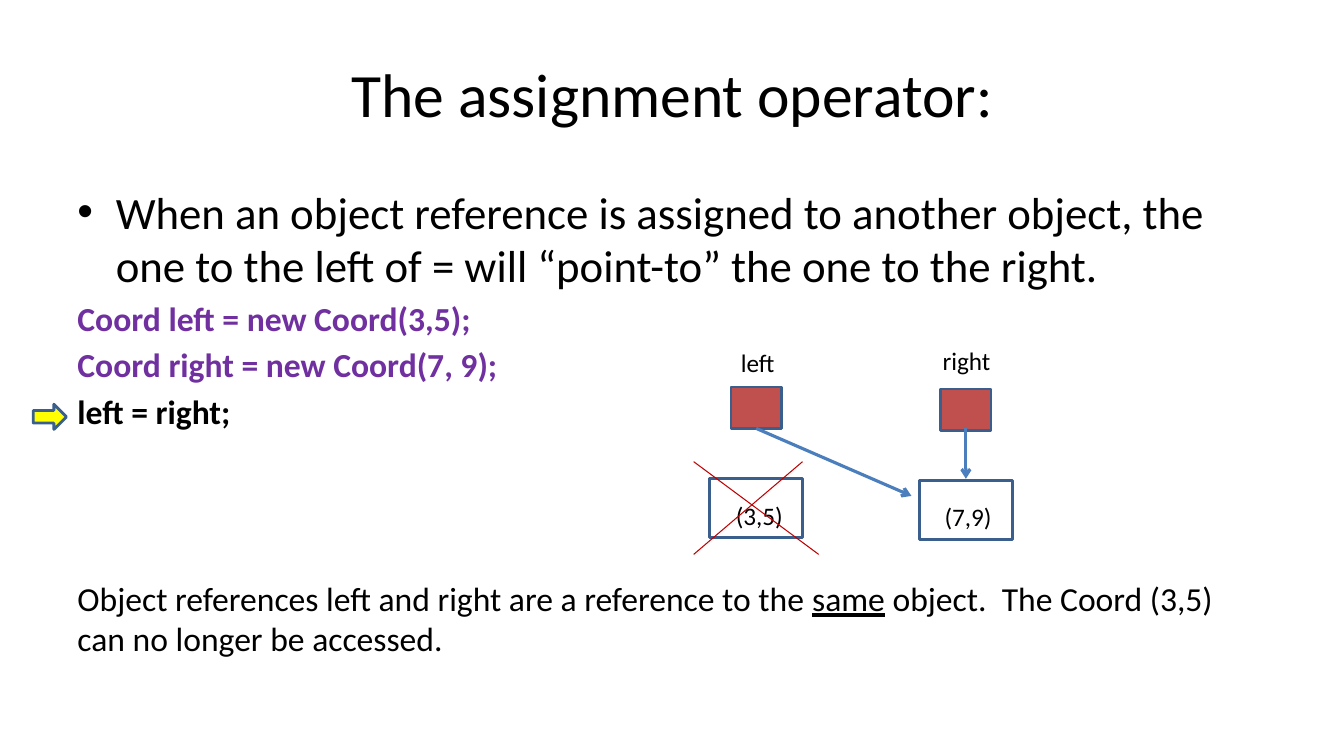
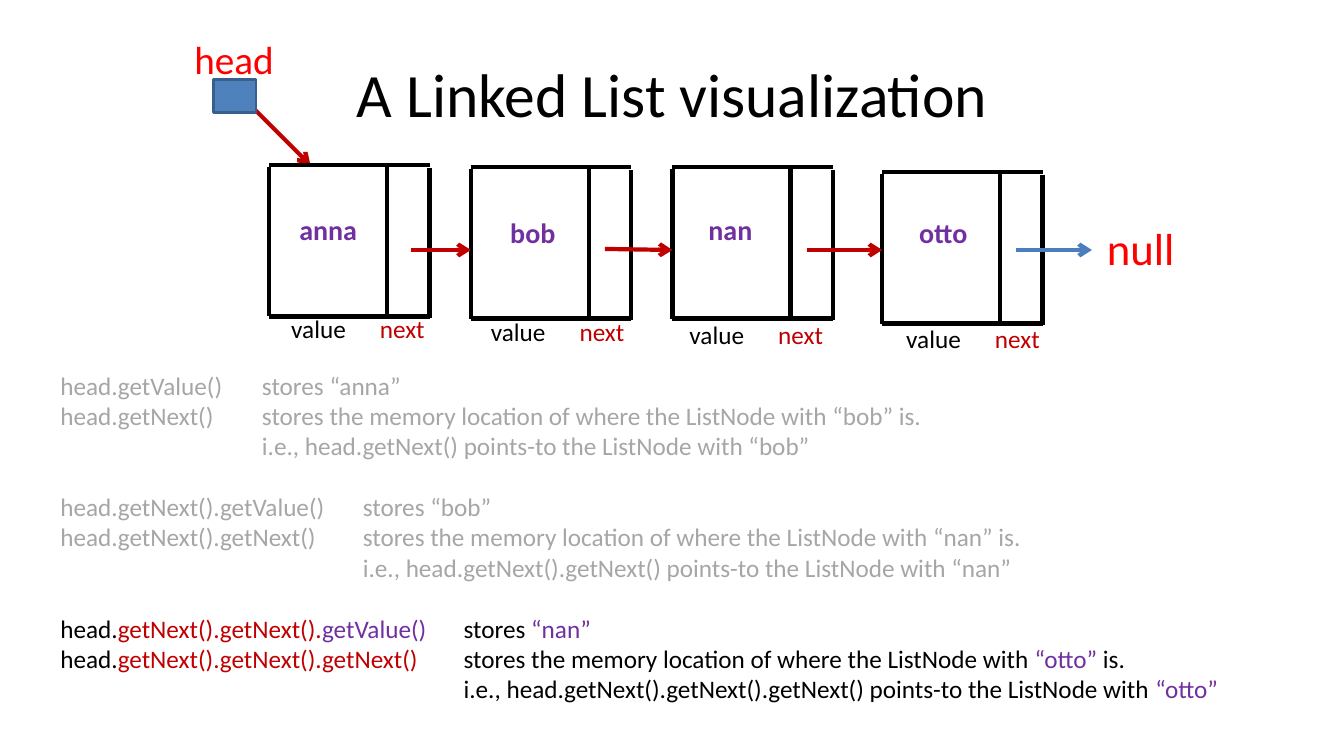
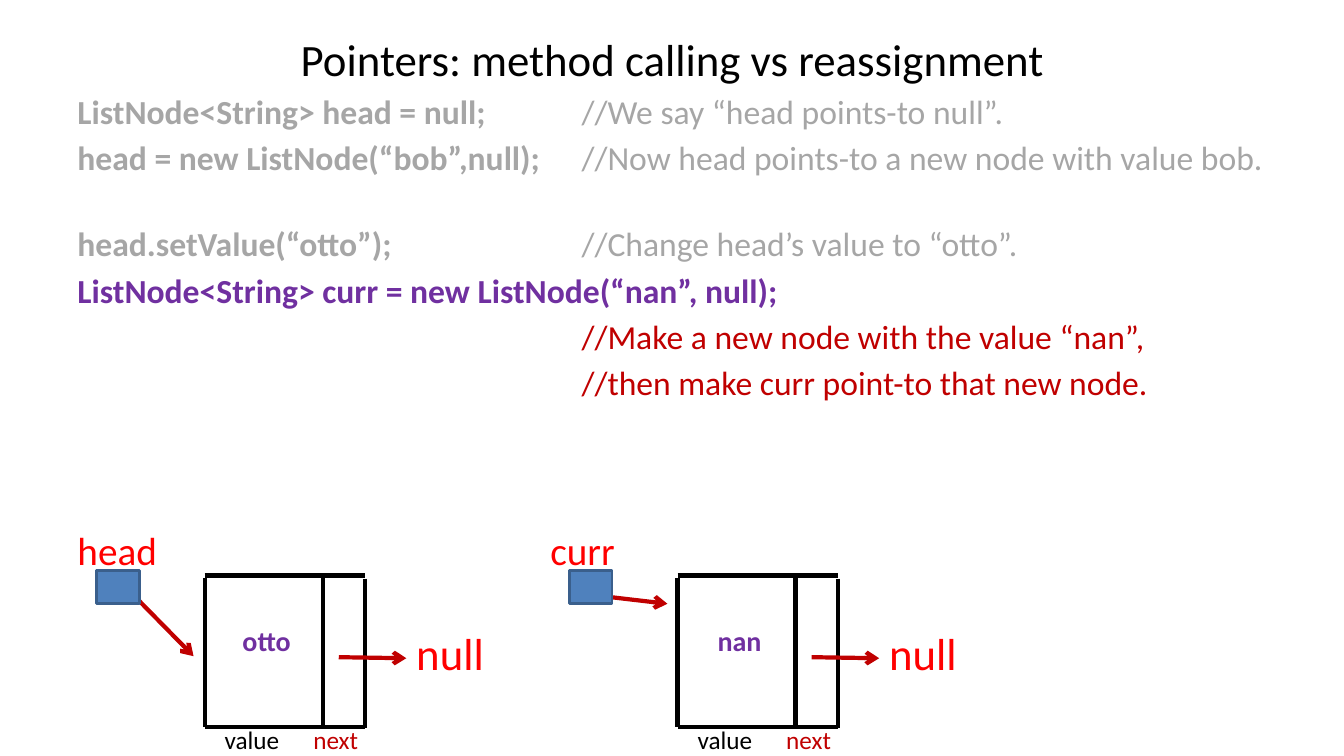
from lxml.etree import SubElement
from pptx import Presentation
from pptx.dml.color import RGBColor
from pptx.enum.shapes import MSO_CONNECTOR, MSO_SHAPE
from pptx.enum.text import MSO_ANCHOR, PP_ALIGN
from pptx.oxml.ns import qn
from pptx.util import Inches, Pt

FONT = "Calibri"
COLORS = {
    "black": "000000", "purple": "7030A0", "dark_red": "C00000", "red": "FF0000",
    "gray": "A6A6A6", "yellow": "FFFF00", "brick": "C0504D", "blue": "4F81BD",
    "outline": "3A5F8C", "arrow": "4B7EBC",
}
TITLE_BOX = (0.67, 0.3, 12, 1.25)
CODE_GAP = 4.3  # points before a code line

# Each paragraph: runs as (text, colour, style letters), then its format
ASSIGNMENT = [
    ([("When an object reference is assigned to another object, the one to the left "
       "of = will “point-to” the one to the right.", "black", "")],
     dict(size=32, bullet=True)),
    ([("Coord left = new Coord(3,5);", "purple", "b")], dict(before=CODE_GAP)),
    ([("Coord right = new Coord(7, 9);", "purple", "b")], dict(before=CODE_GAP)),
    ([("left = right;", "black", "b")], dict(before=CODE_GAP)),
    ([("Object references left and right are a reference to the ", "black", ""),
      ("same", "black", "u"),
      (" object.  The Coord (3,5) can no longer be accessed.", "black", "")],
     dict(before=105)),
]
# name, label spot, pointer spot, object value, object spot, value spot
REFERENCES = [
    ("left", (7.25, 3.4), (7.25, 3.84), "(3,5)", (7.04, 4.75), (7.2, 4.91)),
    ("right", (9.25, 3.38), (9.33, 3.86), "(7,9)", (9.12, 4.77), (9.27, 4.92)),
]
REFERENCE_ARROWS = [((7.5, 4.25), (9.04, 4.92)), ((9.58, 4.25), (9.58, 4.75))]
CROSS_OUT = [((6.88, 4.58), (8.12, 5.5)), ((7.96, 4.58), (6.88, 5.5))]

# name, node corner, name offset, caption offset
LIST_NODES = [
    ("anna", (2.67, 1.64), (0, 0.42), (0.12, 1.42)),
    ("bob", (4.67, 1.66), (0.03, 0.43), (0.1, 1.43)),
    ("nan", (6.67, 1.66), (-0.01, 0.4), (0.07, 1.46)),
    ("otto", (8.75, 1.71), (0.02, 0.38), (0.14, 1.45)),
]
NEXT_ARROWS = [
    ((4.08, 2.48), (4.67, 2.48), "dark_red"),
    ((6, 2.47), (6.67, 2.48), "dark_red"),
    ((8, 2.48), (8.75, 2.48), "dark_red"),
    ((10.08, 2.48), (10.83, 2.48), "arrow"),
]
# Each group of calls: tab stop, then its lines
CALL_GROUPS = [
    (2, [
        [("head.getValue()\tstores “anna”", "gray", "")],
        [("head.getNext()\tstores the memory location of where the ListNode with "
          "“bob” is.", "gray", "")],
        [("\ti.e., head.getNext() points-to the ListNode with “bob”", "gray", "")],
    ]),
    (3, [
        [("head.getNext().getValue()\tstores “bob”", "gray", "")],
        [("head.getNext().getNext()\tstores the memory location of where the ListNode "
          "with “nan” is.", "gray", "")],
        [("\ti.e., head.getNext().getNext() points-to the ListNode with “nan”",
          "gray", "")],
    ]),
    (4, [
        [("head.", "black", ""), ("getNext().getNext().", "dark_red", ""),
         ("getValue()", "purple", ""), ("\tstores ", "black", ""),
         ("“nan”", "purple", "")],
        [("head.", "black", ""), ("getNext().getNext().getNext()", "dark_red", ""),
         ("\tstores the memory location of where the ListNode with ", "black", ""),
         ("“otto” ", "purple", ""), ("is.", "black", "")],
        [("\ti.e., head.getNext().getNext().getNext() points-to the ListNode with ",
          "black", ""), ("“otto”", "purple", "")],
    ]),
]

# code, comment, code colour, comment colour, points before
POINTER_CODE = [
    ("ListNode<String> head = null;", "//We say “head points-to null”.",
     "gray", "gray", 0),
    ("head = new ListNode(“bob”,null);",
     "//Now head points-to a new node with value bob.", "gray", "gray", CODE_GAP),
    ("head.setValue(“otto”);", "//Change head’s value to “otto”.",
     "gray", "gray", 32.8),
    ("ListNode<String> curr = new ListNode(“nan”, null);", "",
     "purple", "purple", CODE_GAP),
    ("", "//Make a new node with the value “nan”,", "purple", "dark_red", CODE_GAP),
    ("", "//then make curr point-to that new node.", "purple", "dark_red", CODE_GAP),
]
# variable, node value, left edge, arrow from the variable
POINTERS = [
    ("head", "otto", 0.67, ((1.34, 5.92), (1.92, 6.51))),
    ("curr", "nan", 5.36, ((6.02, 5.92), (6.62, 5.99))),
]


def rgb(color):
    return RGBColor.from_string(COLORS[color])


def style_font(font, size, color, style=""):
    font.name = FONT
    font.size = Pt(size)
    font.color.rgb = rgb(color)
    font.bold = "b" in style
    font.underline = "u" in style


def fill_paragraph(paragraph, runs, size=24, before=0, align=PP_ALIGN.LEFT,
                   tab=None, bullet=False):
    paragraph.alignment = align
    paragraph.space_before = Pt(before)
    properties = paragraph._p.get_or_add_pPr()
    if bullet:
        properties.set("marL", str(Inches(0.38)))
        properties.set("indent", str(-Inches(0.38)))
        SubElement(properties, qn("a:buFont")).set("typeface", "Arial")
        SubElement(properties, qn("a:buChar")).set("char", "•")
    if tab:
        stops = SubElement(properties, qn("a:tabLst"))
        SubElement(stops, qn("a:tab"), pos=str(Inches(tab)), algn="l")
    uniform = len({run[1:] for run in runs}) == 1
    if uniform:
        style_font(paragraph.font, size, *runs[0][1:])
    for text, color, style in runs:
        run = paragraph.add_run()
        run.text = text
        if not uniform:
            style_font(run.font, size, color, style)


def add_text(slide, box, paragraphs):
    frame = slide.shapes.add_textbox(*map(Inches, box)).text_frame
    frame.word_wrap = True
    for index, (runs, layout) in enumerate(paragraphs):
        paragraph = frame.add_paragraph() if index else frame.paragraphs[0]
        fill_paragraph(paragraph, runs, **layout)


def add_label(slide, box, text, size, color="black", style="", **layout):
    add_text(slide, box, [([(text, color, style)], dict(size=size, **layout))])


def add_titled_slide(deck, title, box=TITLE_BOX, size=44):
    slide = deck.slides.add_slide(deck.slide_layouts[5])
    holder = slide.shapes.title
    holder.left, holder.top, holder.width, holder.height = map(Inches, box)
    holder.text_frame.vertical_anchor = MSO_ANCHOR.MIDDLE
    fill_paragraph(holder.text_frame.paragraphs[0], [(title, "black", "")],
                   size=size, align=PP_ALIGN.CENTER)
    return slide


def add_box(slide, box, fill=None, preset=MSO_SHAPE.RECTANGLE):
    shape = slide.shapes.add_shape(preset, *map(Inches, box))
    shape.shadow.inherit = False
    if fill:
        shape.fill.solid()
        shape.fill.fore_color.rgb = rgb(fill)
    else:
        shape.fill.background()
    shape.line.color.rgb = rgb("outline")
    shape.line.width = Pt(2)


def add_line(slide, start, end, color, width=3, arrow=False):
    line = slide.shapes.add_connector(MSO_CONNECTOR.STRAIGHT,
                                      *map(Inches, (*start, *end)))
    line.line.color.rgb = rgb(color)
    line.line.width = Pt(width)
    if arrow:
        SubElement(line.line._get_or_add_ln(), qn("a:tailEnd")).set("type", "arrow")
    SubElement(line._element.spPr, qn("a:effectLst"))


def add_node(slide, name, corner, name_offset=(0.03, 0.43), caption_offset=(0.1, 1.43)):
    """Draw a list node: a value cell, a next cell and their captions."""
    x, y = corner
    width, height, divider = 1.59, 1.5, 1.17
    for x1, y1, x2, y2 in [
        (0, 0, width, 0), (0, 0.02, 0, height), (divider, 0, divider, 1.48),
        (0, height, width, height), (width, 0.03, width, 1.51),
    ]:
        add_line(slide, (x + x1, y + y1), (x + x2, y + y2), "black")
    add_label(slide, (x + name_offset[0], y + name_offset[1], 1.17, 0.75), name, 20,
              "purple", "b", align=PP_ALIGN.CENTER)
    caption = [("value\t", "black", ""), ("next", "dark_red", "")]
    add_text(slide, (x + caption_offset[0], y + caption_offset[1], 1.67, 0.36),
             [(caption, dict(size=18, tab=0.88))])


def add_variable(slide, name, x, y):
    add_box(slide, (x + 0.29, y + 0.49, 0.42, 0.33), "blue")
    add_label(slide, (x, y, 1.42, 0.6), name, 28, "red")


def add_null(slide, x, y):
    add_label(slide, (x, y, 1.42, 0.65), "null", 32, "red")


def build_assignment(deck):
    slide = add_titled_slide(deck, "The assignment operator:")
    add_text(slide, (0.67, 1.78, 12, 4.95), ASSIGNMENT)
    add_box(slide, (0.33, 4.01, 0.33, 0.25), "yellow", MSO_SHAPE.RIGHT_ARROW)
    for name, label, pointer, value, target, value_spot in REFERENCES:
        add_box(slide, (*target, 0.92, 0.58))
        add_box(slide, (*pointer, 0.5, 0.41), "brick")
        add_label(slide, (*label, 1, 0.4), name, 18)
        add_label(slide, (*value_spot, 0.9, 0.4), value, 18)
    for start, end in REFERENCE_ARROWS:
        add_line(slide, start, end, "arrow", 2.25, arrow=True)
    for start, end in CROSS_OUT:
        add_line(slide, start, end, "dark_red", 0.75)


def build_linked_list(deck):
    slide = add_titled_slide(deck, "A Linked List visualization")
    add_line(slide, (2.5, 1.06), (3.08, 1.64), "dark_red", arrow=True)
    add_variable(slide, "head", 1.83, 0.3)
    for node in LIST_NODES:
        add_node(slide, *node)
    for start, end, color in NEXT_ARROWS:
        add_line(slide, start, end, color, arrow=True)
    add_null(slide, 10.88, 2.14)
    calls = [
        (runs, dict(size=18, tab=tab, before=22 if group and not row else 0))
        for group, (tab, lines) in enumerate(CALL_GROUPS)
        for row, runs in enumerate(lines)
    ]
    add_text(slide, (0.5, 3.62, 12.67, 3.7), calls)


def build_pointers(deck):
    slide = add_titled_slide(deck, "Pointers: method calling vs reassignment",
                             (0.67, 0.25, 12, 0.66), 32)
    code_lines = []
    for code, comment, code_color, comment_color, before in POINTER_CODE:
        runs = [(code, code_color, "b")] if code else []
        if comment:
            runs.append(("\t" + comment, comment_color, ""))
        code_lines.append((runs, dict(before=before, tab=5)))
    add_text(slide, (0.67, 0.85, 12.2, 3.4), code_lines)
    for variable, value, x, (start, end) in POINTERS:
        add_line(slide, start, end, "dark_red", arrow=True)
        add_variable(slide, variable, x, 5.17)
        add_node(slide, value, (x + 1.36, 5.71))
        add_line(slide, (x + 2.69, 6.52), (x + 3.36, 6.53), "dark_red", arrow=True)
        add_null(slide, x + 3.36, 6.16)


def main():
    deck = Presentation()
    deck.slide_width, deck.slide_height = Inches(13.33), Inches(7.5)
    build_assignment(deck)
    build_linked_list(deck)
    build_pointers(deck)
    deck.save("out.pptx")


if __name__ == "__main__":
    main()
